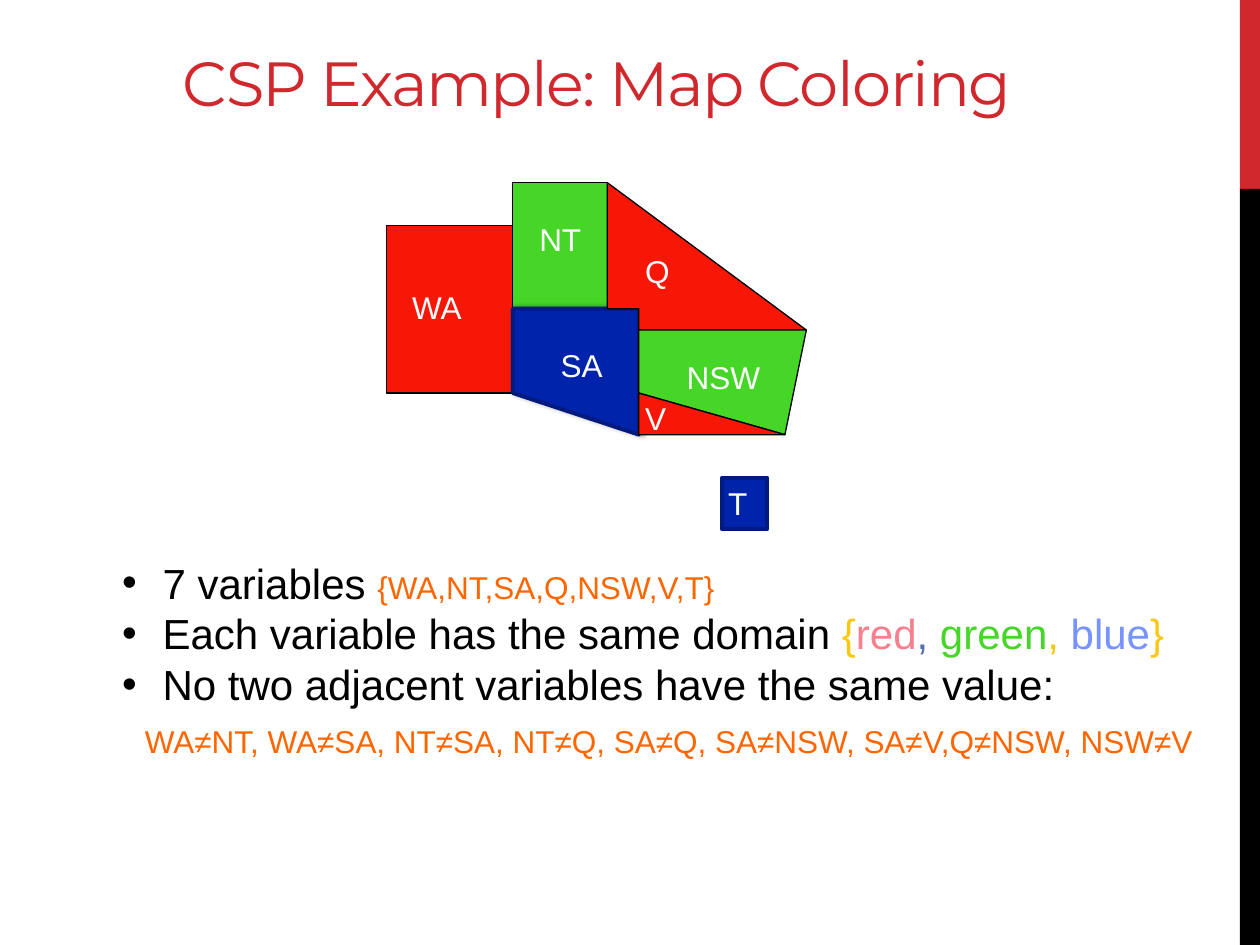
from lxml import etree
from pptx import Presentation
from pptx import util as u
from pptx.dml.color import RGBColor
from pptx.enum import shapes, text
from pptx.oxml.ns import qn

COLORS = {
    "title": "D1282E", "black": "000000", "white": "FFFFFF",
    "red": "F81706", "green": "45D628", "blue": "0023AB", "navy": "001A7D",
    "orange": "FF6600", "yellow": "FAC810", "pink": "F8808E",
    "slate": "526DB0", "sky": "7793FF",
}
TITLE = "CSP Example: Map Coloring"
SIDE_BARS = [("title", 0, 1.5), ("black", 1.5, 6)]
RECTANGLES = [("red", 3.07, 1.79, 1, 1.33), ("green", 4.07, 1.45, 0.75, 1)]
POLYGONS = [
    ("blue", [(4.07, 2.45), (5.07, 2.45), (5.07, 3.45), (4.07, 3.12)]),
    ("red", [(4.82, 1.45), (6.4, 2.62), (5.07, 2.62), (5.07, 2.45), (4.82, 2.45)]),
    ("green", [(5.07, 2.62), (5.07, 3.12), (6.23, 3.45), (6.4, 2.62)]),
    ("red", [(5.07, 3.12), (5.07, 3.45), (6.23, 3.45)]),
]
LABELS = [
    ("WA", 3.22, 2.24, 0.51), ("NT", 4.23, 1.7, 0.45), ("SA", 4.4, 2.7, 0.45),
    ("Q", 5.07, 1.95, 0.31), ("NSW", 5.4, 2.79, 0.7), ("V", 5.07, 3.12, 0.28),
]
FACTS = [
    (True, [("7 variables ", 24, "black"), ("{WA,NT,SA,Q,NSW,V,T}", 18, "orange")]),
    (True, [("Each variable has the same domain ", 24, "black"),
            ("{", 24, "yellow"), ("red", 24, "pink"), (", ", 24, "slate"),
            ("green", 24, "green"), (", ", 24, "yellow"),
            ("blue", 24, "sky"), ("}", 24, "yellow")]),
    (True, [("No two adjacent variables have the same value:", 24, "black")]),
    (False, [("WA≠NT, WA≠SA, NT≠SA, NT≠Q, SA≠Q, SA≠NSW, SA≠V,Q≠NSW, NSW≠V",
              18, "orange")]),
]


def color(name):
    return RGBColor.from_string(COLORS[name])


def paint(shape, fill, line=None, width=0.75):
    shape.shadow.inherit = False
    shape.fill.solid()
    shape.fill.fore_color.rgb = color(fill)
    if line:
        shape.line.color.rgb = color(line)
        shape.line.width = u.Pt(width)
    else:
        shape.line.fill.background()


def paint_region(shape, fill):
    if fill == "blue":
        paint(shape, fill, "navy", 2.25)
    else:
        paint(shape, fill, "black")


def add_rectangle(parent, *box):
    return parent.shapes.add_shape(shapes.MSO_SHAPE.RECTANGLE, *map(u.Inches, box))


def add_polygon(parent, points):
    corners = [(u.Inches(x), u.Inches(y)) for x, y in points]
    builder = parent.shapes.build_freeform(*corners[0], scale=1.0)
    builder.add_line_segments(corners[1:], close=True)
    return builder.convert_to_shape()


def add_shadow(shape):
    effects = shape._element.spPr.find(qn("a:effectLst"))
    shadow = etree.SubElement(effects, qn("a:outerShdw"), blurRad=str(u.Pt(3)),
                              dist=str(u.Pt(1.8)), dir="0", rotWithShape="0")
    tint = etree.SubElement(shadow, qn("a:srgbClr"), val=COLORS["black"])
    etree.SubElement(tint, qn("a:alpha"), val="40000")


def set_frame(frame, wrap=False):
    frame.margin_left = frame.margin_right = u.Inches(0.05)
    frame.margin_top = frame.margin_bottom = u.Inches(0.05)
    frame.word_wrap = wrap
    frame.auto_size = text.MSO_AUTO_SIZE.SHAPE_TO_FIT_TEXT
    frame.vertical_anchor = text.MSO_ANCHOR.TOP


def style_run(run, size, name, font="Arial"):
    run.font.size = u.Pt(size)
    run.font.name = font
    run.font.color.rgb = color(name)


def write_label(shape, label, wrap=False):
    frame = shape.text_frame
    frame.text = label
    set_frame(frame, wrap)
    paragraph = frame.paragraphs[0]
    paragraph.alignment = text.PP_ALIGN.LEFT
    style_run(paragraph.runs[0], 18, "white")


def add_title(slide):
    box = slide.shapes.add_textbox(*map(u.Inches, (0.5, 0.18, 8.48, 0.79)))
    frame = box.text_frame
    frame.text = TITLE
    frame.word_wrap = True
    frame.margin_bottom = u.Inches(0.03)
    frame.vertical_anchor = text.MSO_ANCHOR.BOTTOM
    paragraph = frame.paragraphs[0]
    paragraph.alignment = text.PP_ALIGN.CENTER
    run = paragraph.runs[0]
    style_run(run, 35.6, "title", "Montserrat")
    run.font._element.set("spc", "-90")


def add_facts(slide):
    box = slide.shapes.add_textbox(*map(u.Inches, (0.92, 4.37, 8.62, 1.65)))
    frame = box.text_frame
    set_frame(frame)
    for index, (bulleted, runs) in enumerate(FACTS):
        paragraph = frame.add_paragraph() if index else frame.paragraphs[0]
        paragraph.line_spacing = u.Pt(29)
        for words, size, name in runs:
            run = paragraph.add_run()
            run.text = words
            style_run(run, size, name)
        properties = paragraph._element.get_or_add_pPr()
        indent = u.Inches(0.32 if bulleted else 0.18)
        properties.set("marL", str(indent))
        if bulleted:
            properties.set("indent", str(-indent))
            etree.SubElement(properties, qn("a:buFont"), typeface="Arial")
            etree.SubElement(properties, qn("a:buChar"), char="•")


def add_map(slide):
    group = slide.shapes.add_group_shape()
    for fill, *box in RECTANGLES:
        paint_region(add_rectangle(group, *box), fill)
    for fill, points in POLYGONS:
        region = add_polygon(group, points)
        paint_region(region, fill)
        if fill == "blue":
            add_shadow(region)
    for label, left, top, width in LABELS:
        box = group.shapes.add_textbox(*map(u.Inches, (left, top, width, 0.38)))
        write_label(box, label)
    tasmania = add_rectangle(group, 5.73, 3.79, 0.36, 0.41)
    paint_region(tasmania, "blue")
    write_label(tasmania, "T", wrap=True)


def main():
    presentation = Presentation()
    presentation.slide_width = u.Inches(10)
    presentation.slide_height = u.Inches(7.5)
    slide = presentation.slides.add_slide(presentation.slide_layouts[6])
    for fill, top, height in SIDE_BARS:
        paint(add_rectangle(slide, 9.84, top, 0.16, height), fill)
    add_title(slide)
    add_facts(slide)
    add_map(slide)
    presentation.save("out.pptx")


if __name__ == "__main__":
    main()
